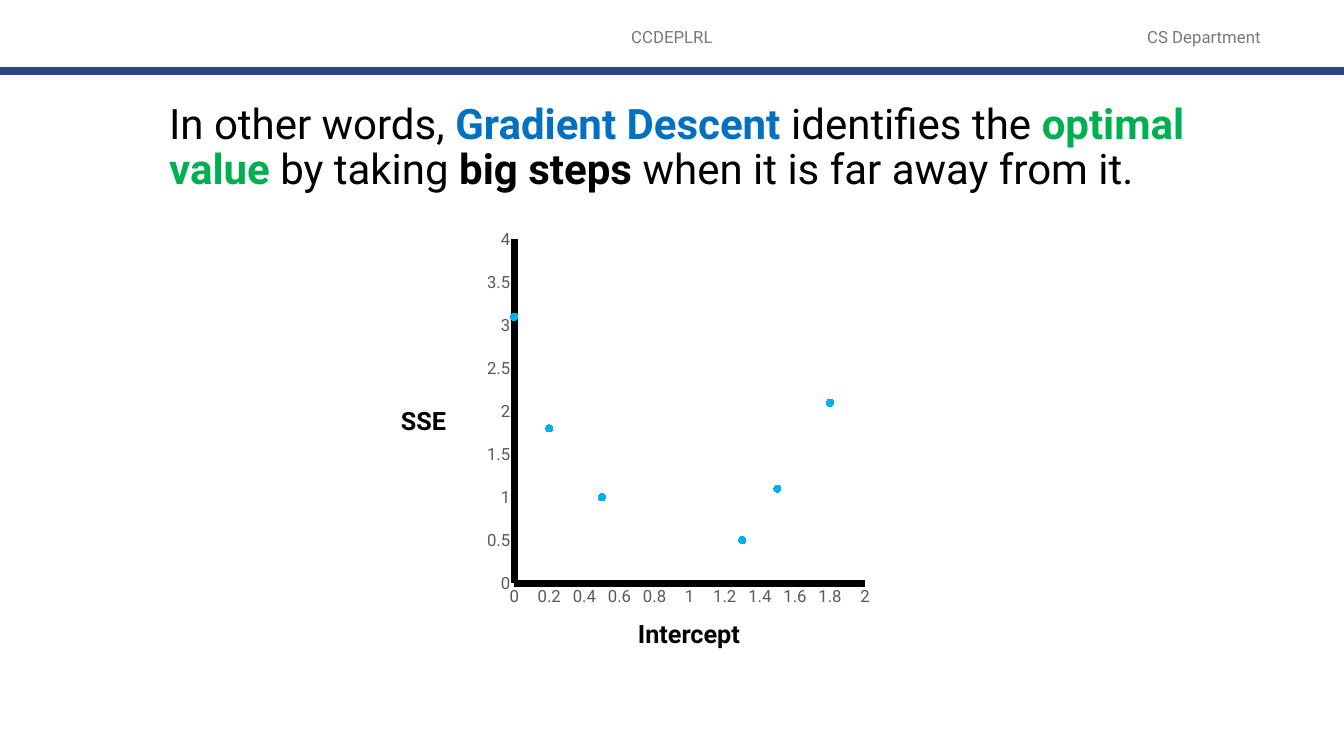
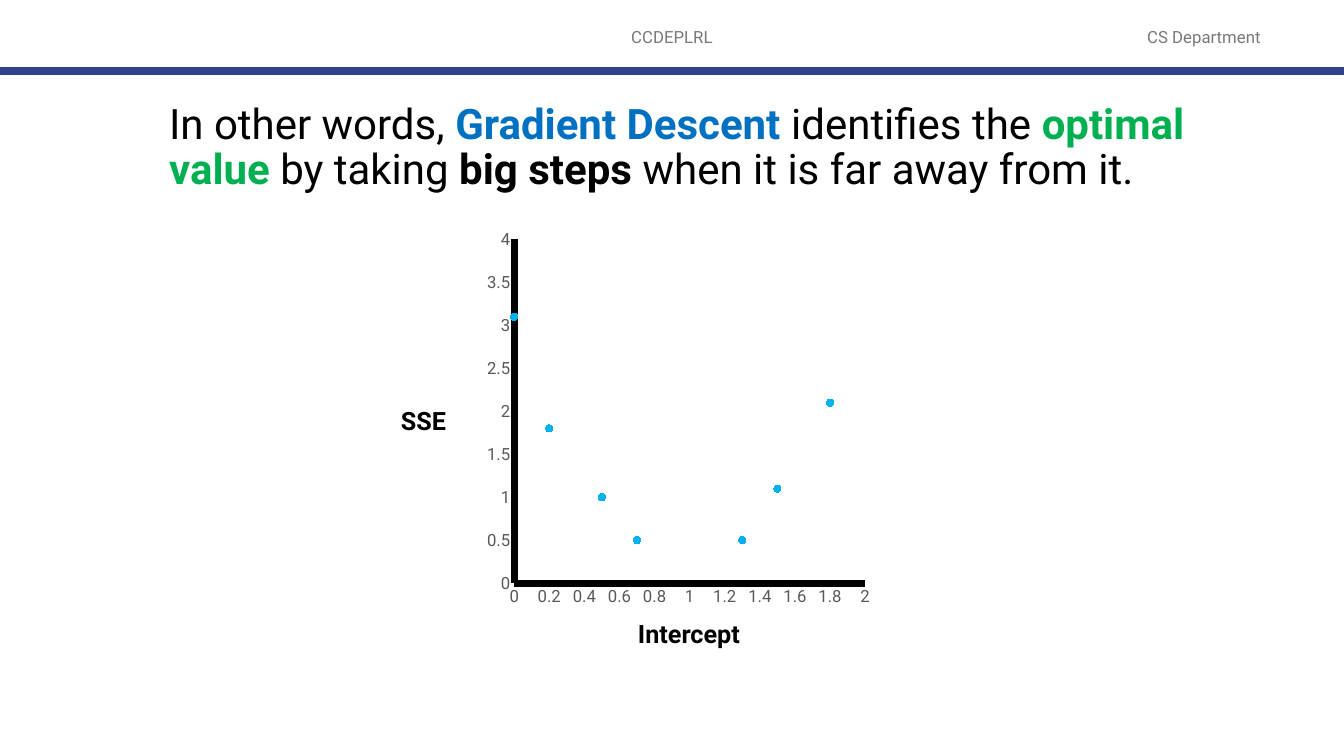
import lxml.etree
import pptx
import pptx.chart.data
import pptx.dml.color
import pptx.enum.chart
import pptx.enum.shapes
import pptx.enum.text
import pptx.oxml.ns
import pptx.util

WIDTH, HEIGHT = 1344, 756
SCALE = 12192000 / WIDTH
FONT = "Roboto"
BLACK, GRAY, LABEL, NAVY = "000000", "797979", "595959", "32418C"
BLUE, GREEN, SKY = "0070C0", "00B050", "00B0F0"

# Title runs: text, colour, bold
TITLE = [
    ("In other words, ", BLACK, False),
    ("Gradient Descent ", BLUE, True),
    ("identifies the ", BLACK, False),
    ("optimal value", GREEN, True),
    (" by taking ", BLACK, False),
    ("big steps ", BLACK, True),
    ("when it is far away from it.", BLACK, False),
]

# Data rows of each slide: intercept, SSE; blank cells are None
ROWS = 18
BLANK = (None, None)
LEFT = [(0, 3.1), (0.2, 1.8), (0.5, 1)]
RIGHT = [(1.3, 0.5), (1.5, 1.1), (1.8, 2.1)]
STEPS = [
    LEFT + [BLANK, BLANK] + RIGHT,
    LEFT + [(0.7, 0.5), (None, 0.3)] + RIGHT,
]

# Inner plot area as shares of the chart
PLOT = {"x": 0.07, "y": 0.03, "w": 0.92, "h": 0.9}


def px(*sizes):
    return [pptx.util.Emu(round(size * SCALE)) for size in sizes]


def color(code):
    return pptx.dml.color.RGBColor.from_string(code)


def style(font, size, code, bold=False):
    font.name, font.size, font.bold = FONT, pptx.util.Pt(size), bold
    font.color.rgb = color(code)


def add_label(slide, text, box, size, code, bold=False):
    label = slide.shapes.add_textbox(*px(*box))
    frame = label.text_frame
    frame.word_wrap = True
    frame.text = text
    frame.vertical_anchor = pptx.enum.text.MSO_ANCHOR.MIDDLE
    para = frame.paragraphs[0]
    para.alignment = pptx.enum.text.PP_ALIGN.CENTER
    style(para.runs[0].font, size, code, bold)
    return label


def add_rule(slide, y):
    kind = pptx.enum.shapes.MSO_CONNECTOR.STRAIGHT
    rule = slide.shapes.add_connector(kind, *px(0, y, WIDTH, y))
    rule.line.color.rgb = color(NAVY)
    rule.line.width = pptx.util.Pt(6)
    props = rule._element.spPr
    lxml.etree.SubElement(props, pptx.oxml.ns.qn("a:effectLst"))
    return rule


def set_header(slide):
    """Move the shared header into the layout, so every slide shows it."""
    parts = [
        add_label(slide, "CCDEPLRL", (445, 17, 454, 40), 12, GRAY),
        add_label(slide, "CS Department", (1101, 17, 206, 40), 12, GRAY),
        add_rule(slide, 71),
    ]
    tree = slide.slide_layout.shapes._spTree
    for part in parts:
        tree.append(part._element)


def set_title(slide):
    title = slide.shapes.title
    title.left, title.top, title.width, title.height = px(159, 98, 1044, 92)
    frame = title.text_frame
    frame.word_wrap = True
    frame.auto_size = pptx.enum.text.MSO_AUTO_SIZE.NONE
    frame.vertical_anchor = pptx.enum.text.MSO_ANCHOR.TOP
    para = frame.paragraphs[0]
    para.alignment = pptx.enum.text.PP_ALIGN.LEFT
    para.line_spacing = 0.9
    for text, code, bold in TITLE:
        run = para.add_run()
        run.text = text
        style(run.font, 30, code, bold)


def set_axis(axis, top, step):
    axis.minimum_scale, axis.maximum_scale = 0, top
    axis.major_unit = step
    axis.has_major_gridlines = False
    axis.has_title = False
    none = pptx.enum.chart.XL_TICK_MARK.NONE
    axis.major_tick_mark = axis.minor_tick_mark = none
    axis.format.line.color.rgb = color(BLACK)
    axis.format.line.width = pptx.util.Pt(5)
    style(axis.tick_labels.font, 12, LABEL)


def set_plot(chart):
    qn = pptx.oxml.ns.qn
    area = chart._chartSpace.chart.plotArea
    for old in area.findall(qn("c:layout")):
        area.remove(old)
    outer = lxml.etree.Element(qn("c:layout"))
    inner = lxml.etree.SubElement(outer, qn("c:manualLayout"))
    values = {"layoutTarget": "inner", "xMode": "edge", "yMode": "edge", **PLOT}
    for tag, value in values.items():
        lxml.etree.SubElement(inner, qn("c:" + tag)).set("val", str(value))
    area.insert(0, outer)


def drop_blanks(series):
    """Leave blank cells out of the series, as the format asks."""
    qn = pptx.oxml.ns.qn
    for point in list(series._element.iter(qn("c:pt"))):
        if point.findtext(qn("c:v")) in (None, "", "None"):
            point.getparent().remove(point)


def add_scatter(slide, points):
    data = pptx.chart.data.XyChartData()
    series = data.add_series("Series 1")
    for x, y in points + [BLANK] * (ROWS - len(points)):
        series.add_data_point(x, y)
    kind = pptx.enum.chart.XL_CHART_TYPE.XY_SCATTER
    chart = slide.shapes.add_chart(kind, *px(487, 228, 383, 382), data).chart
    chart.has_legend = chart.has_title = False
    style(chart.font, 10, BLACK)
    set_axis(chart.category_axis, 2, 0.2)
    set_axis(chart.value_axis, 4, 0.5)
    set_plot(chart)

    # Dots only
    plot = chart.plots[0]
    plot.vary_by_categories = False
    dots = plot.series[0]
    drop_blanks(dots)
    dots.smooth = False
    dots.format.line.fill.background()
    dots.marker.style = pptx.enum.chart.XL_MARKER_STYLE.CIRCLE
    dots.marker.size = 5
    dots.marker.format.fill.solid()
    dots.marker.format.fill.fore_color.rgb = color(SKY)
    dots.marker.format.line.color.rgb = color(SKY)


def main():
    deck = pptx.Presentation()
    deck.slide_width, deck.slide_height = px(WIDTH, HEIGHT)
    layout = deck.slide_layouts.get_by_name("Title Only")
    for number, points in enumerate(STEPS):
        slide = deck.slides.add_slide(layout)
        if number == 0:
            set_header(slide)
        set_title(slide)
        add_scatter(slide, points)
        add_label(slide, "Intercept", (621, 613, 136, 40), 18, BLACK, True)
        add_label(slide, "SSE", (375, 400, 97, 40), 18, BLACK, True)
    deck.save("out.pptx")


if __name__ == "__main__":
    main()
